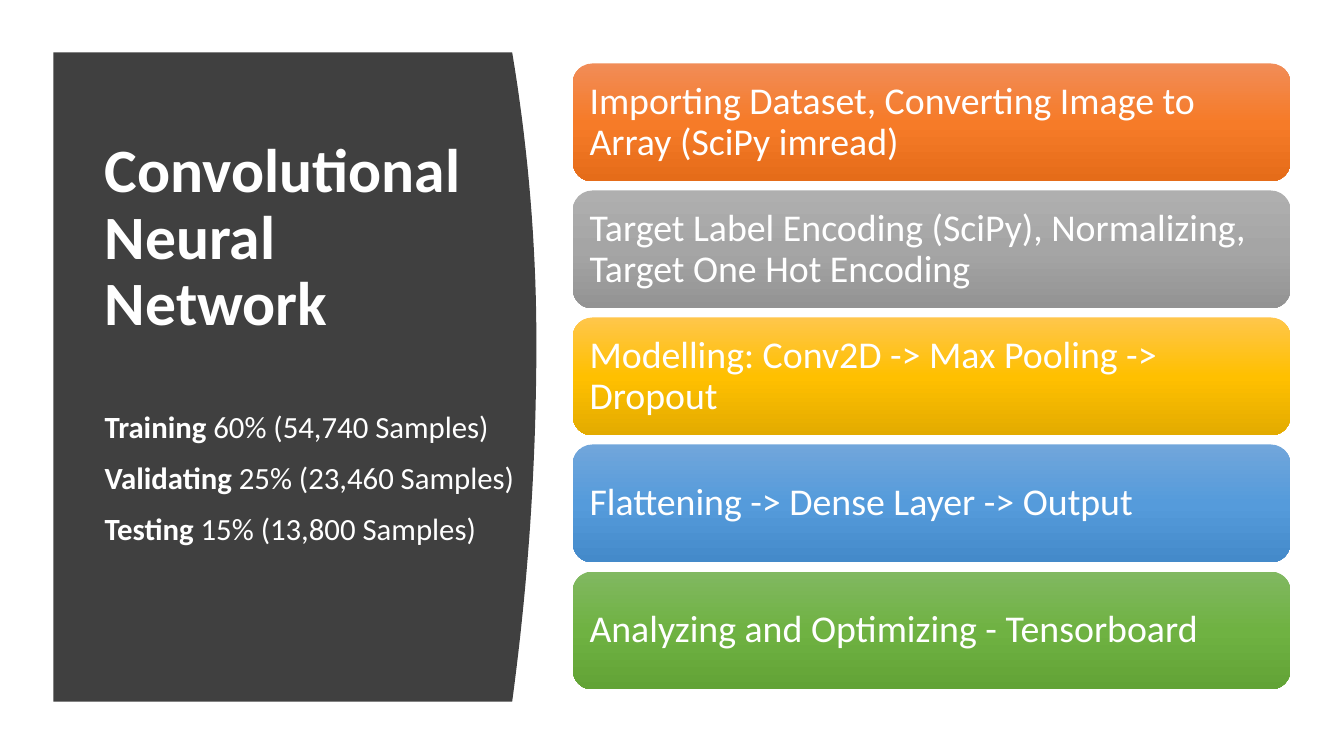
from copy import deepcopy

from pptx import Presentation
from pptx.dml.color import RGBColor
from pptx.enum.shapes import MSO_SHAPE
from pptx.enum.text import MSO_ANCHOR, PP_ALIGN
from pptx.oxml.ns import qn
from pptx.util import Inches, Pt

ROUNDED = MSO_SHAPE.ROUNDED_RECTANGLE
MIDDLE = MSO_ANCHOR.MIDDLE
LEFT = PP_ALIGN.LEFT
WHITE = RGBColor(0xFF, 0xFF, 0xFF)
DARK = RGBColor(0x40, 0x40, 0x40)
ORANGES = RGBColor(0xF1, 0x8C, 0x57), RGBColor(0xF6, 0x7B, 0x28), RGBColor(0xE5, 0x6C, 0x19)
GREYS = RGBColor(0xAF, 0xAF, 0xAF), RGBColor(0xA5, 0xA5, 0xA5), RGBColor(0x93, 0x93, 0x93)
GOLDS = RGBColor(0xFF, 0xC6, 0x4B), RGBColor(0xFF, 0xC0, 0x00), RGBColor(0xE3, 0xAB, 0x00)
BLUES = RGBColor(0x71, 0xA6, 0xDB), RGBColor(0x55, 0x9B, 0xDB), RGBColor(0x44, 0x8A, 0xCA)
GREENS = RGBColor(0x81, 0xB8, 0x61), RGBColor(0x6F, 0xB2, 0x42), RGBColor(0x62, 0xA3, 0x36)

PANEL_LEFT, PANEL_TOP, PANEL_BOTTOM = Inches(0.53), Inches(0.52), Inches(6.96)
BULGE_X, BULGE_Y, BULGE_DEPTH, BULGE_STEPS = Inches(5.32), Inches(3.4), Inches(0.24), 40
TEXT_LEFT = 0.94
STEP_LEFT, STEP_TOP, STEP_WIDTH, STEP_HEIGHT, STEP_PITCH = 5.68, 0.63, 7.12, 1.17, 1.26

STEPS = [
    ("Importing Dataset, Converting Image to Array (SciPy imread)", ORANGES),
    ("Target Label Encoding (SciPy), Normalizing, Target One Hot Encoding", GREYS),
    ("Modelling: Conv2D -> Max Pooling -> Dropout", GOLDS),
    ("Flattening -> Dense Layer -> Output", BLUES),
    ("Analyzing and Optimizing - Tensorboard", GREENS),
]
SPLITS = [
    ("Training", " 60% (54,740 Samples)"),
    ("Validating", " 25% (23,460 Samples)"),
    ("Testing", " 15% (13,800 Samples)"),
]


def add_run(p, text, size, bold=False):
    r = p.add_run()
    r.text = text
    r.font.name = "Calibri"
    r.font.size = Pt(size)
    r.font.bold = bold
    r.font.color.rgb = WHITE


prs = Presentation()
prs.slide_width, prs.slide_height = Inches(13.33), Inches(7.5)
slide = prs.slides.add_slide(prs.slide_layouts[5])
shapes = slide.shapes

edge = []
for i in range(BULGE_STEPS + 1):
    y = PANEL_TOP + (PANEL_BOTTOM - PANEL_TOP) * i / BULGE_STEPS
    reach = BULGE_Y - PANEL_TOP if y < BULGE_Y else PANEL_BOTTOM - BULGE_Y
    edge.append((BULGE_X - BULGE_DEPTH * ((y - BULGE_Y) / reach) ** 2, y))
builder = shapes.build_freeform(PANEL_LEFT, PANEL_TOP)
builder.add_line_segments(edge + [(PANEL_LEFT, PANEL_BOTTOM)], close=True)
panel = builder.convert_to_shape()
panel.shadow.inherit = False
panel.fill.solid()
panel.fill.fore_color.rgb = DARK
panel.line.fill.background()
shapes._spTree.insert(2, panel._element)

title = shapes.title
title.left, title.top = Inches(TEXT_LEFT), Inches(1.32)
title.width, title.height = Inches(3.74), Inches(2.11)
tf = title.text_frame
tf.word_wrap = True
tf.vertical_anchor = MIDDLE
p = tf.paragraphs[0]
p.alignment = LEFT
p.line_spacing = 0.9
add_run(p, "Convolutional Neural Network", 44, True)

for row, (text, colours) in enumerate(STEPS):
    s = shapes.add_shape(ROUNDED, Inches(STEP_LEFT), Inches(STEP_TOP + row * STEP_PITCH),
                         Inches(STEP_WIDTH), Inches(STEP_HEIGHT))
    s.shadow.inherit = False
    s.line.fill.background()
    s.fill.gradient()
    s.fill.gradient_angle = 270
    stops = s._element.spPr.find(".//" + qn("a:gsLst"))
    stops.insert(1, deepcopy(stops[0]))
    for stop, position, colour in zip(s.fill.gradient_stops, (0, 0.5, 1), colours):
        stop.position = position
        stop.color.rgb = colour
    tf = s.text_frame
    tf.word_wrap = True
    tf.vertical_anchor = MIDDLE
    tf.margin_left = tf.margin_right = tf.margin_top = tf.margin_bottom = Inches(0.11)
    p = tf.paragraphs[0]
    p.alignment = LEFT
    p.line_spacing = 0.9
    add_run(p, text, 27)

box = shapes.add_textbox(Inches(TEXT_LEFT), Inches(4), Inches(5), Inches(1.78))
tf = box.text_frame
tf.word_wrap = True
for i, (name, share) in enumerate(SPLITS):
    p = tf.add_paragraph() if i else tf.paragraphs[0]
    p.space_before = Pt(9.8 if i else 0)
    add_run(p, name, 22, True)
    add_run(p, share, 22)

prs.save("out.pptx")
